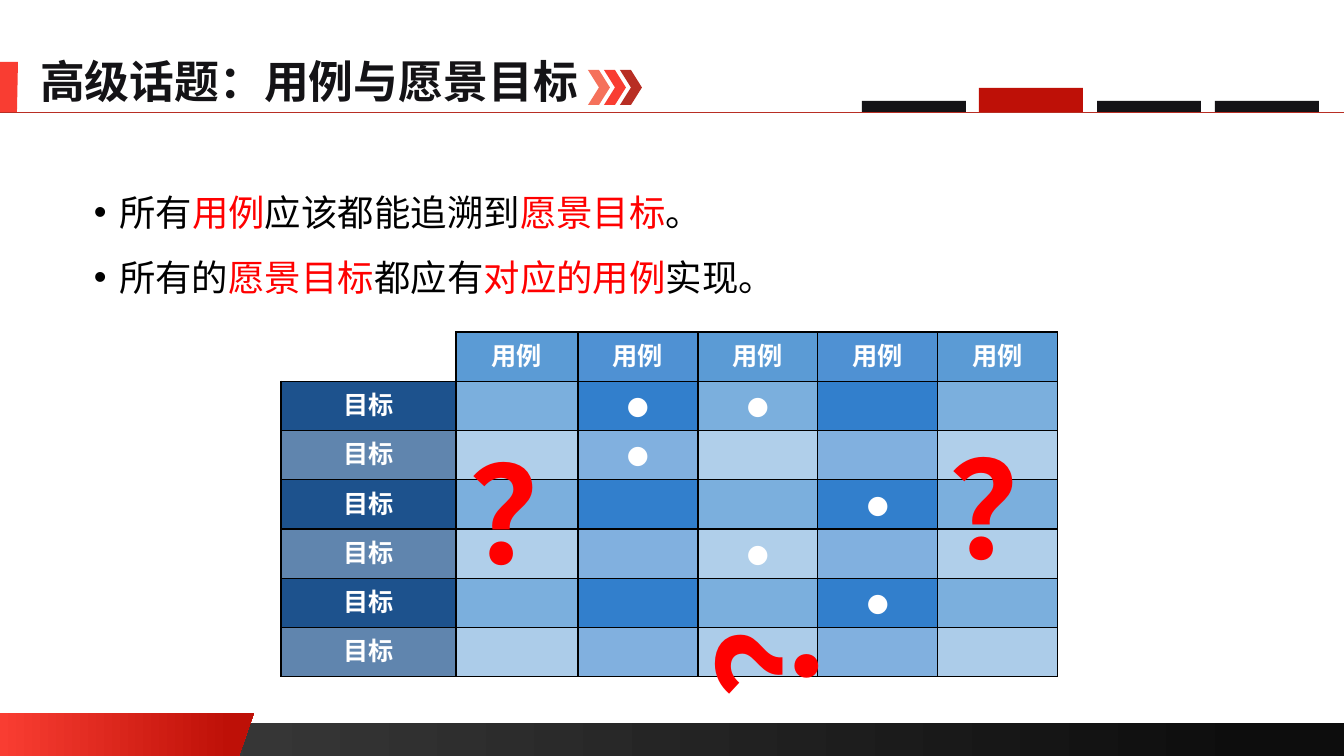
from lxml import etree
from pptx import Presentation
from pptx import util as u
from pptx.dml.color import RGBColor
from pptx.enum import shapes, text
from pptx.oxml import ns

WIDTH, HEIGHT = 1344, 756
SCALE = 12192000 / WIDTH
COLOURS = {
    "ink": "141316", "black": "000000", "white": "FFFFFF", "mark": "FF0000",
    "red": "F93D32", "deep": "BE1007", "brick": "B82E24", "coral": "F5715B",
    "charcoal": "404040", "night": "0D0D0D",
    "sky": "5B9BD5", "blue": "0563C1", "navy": "1D528D",
}
CJK = "Noto Sans CJK SC"
PLAIN_TABLE = "{2D5ABB26-0587-4C30-8999-92F81FD0307C}"
USE_CASES, GOALS = 5, 6
TRACES = {(1, 2), (1, 3), (2, 2), (3, 4), (4, 3), (5, 4)}


def px(length):
    return u.Emu(round(length * SCALE))


def rgb(name):
    return RGBColor.from_string(COLOURS[name])


def add_xml(parent, tag, **attributes):
    return etree.SubElement(parent, ns.qn(tag), **attributes)


def paint(fill, name, alpha=100):
    """Fill with one colour, alpha being the opacity in percent."""
    fill.solid()
    fill.fore_color.rgb = rgb(name)
    if alpha < 100:
        colour = fill._xPr.find(".//" + ns.qn("a:srgbClr"))
        add_xml(colour, "a:alpha", val=str(alpha * 1000))


def blend(fill, start, end, end_position):
    """Fill with a gradient running from left to right."""
    fill.gradient()
    fill.gradient_angle = 0
    for stop, name, position in zip(fill.gradient_stops, (start, end), (0, end_position)):
        stop.color.rgb = rgb(name)
        stop.position = position


def add_block(page, kind, box, colour=None):
    block = page.shapes.add_shape(kind, *map(px, box))
    block.shadow.inherit = False
    block.line.fill.background()
    if colour:
        paint(block.fill, colour)
    return block


def add_outline(page, points):
    builder = page.shapes.build_freeform(*points[0], scale=SCALE)
    builder.add_line_segments(points[1:], close=True)
    outline = builder.convert_to_shape()
    outline.shadow.inherit = False
    outline.line.fill.background()
    return outline


def add_span(para, words, size, colour, font, bold=False):
    span = para.add_run()
    span.text = words
    span.font.size = u.Pt(size)
    span.font.bold = bold
    span.font.color.rgb = rgb(colour)
    span.font.name = font
    add_xml(span.font._element, "a:ea", typeface=font)


def place(box, left, top, width, height):
    box.left, box.top, box.width, box.height = map(px, (left, top, width, height))


def add_footer(page, top):
    band = add_block(page, shapes.MSO_SHAPE.RECTANGLE, (0, top, WIDTH, HEIGHT - top))
    blend(band.fill, "charcoal", "night", 0.94)
    flag = add_outline(page, [(0, top - 10), (254, top - 10), (239, HEIGHT), (0, HEIGHT)])
    blend(flag.fill, "red", "deep", 0.91)


def add_header(page, base):
    """Title, rule, tabs and chevrons standing on the line at base."""
    accent = add_outline(page, [(0, base - 50), (18, base - 50), (17, base), (0, base)])
    paint(accent.fill, "red")

    title = page.shapes.title
    place(title, 30, base - 63, 563, 65)
    frame = title.text_frame
    frame.word_wrap = False
    frame.auto_size = text.MSO_AUTO_SIZE.NONE
    frame.vertical_anchor = text.MSO_ANCHOR.TOP
    para = frame.paragraphs[0]
    para.alignment = text.PP_ALIGN.LEFT
    add_span(para, "高级话题：用例与愿景目标", 32, "ink", CJK, bold=True)

    rule = page.shapes.add_connector(
        shapes.MSO_CONNECTOR.STRAIGHT, 0, px(base), px(WIDTH), px(base))
    rule.line.color.rgb = rgb("brick")
    rule.line.width = u.Pt(0.5)
    add_xml(rule._element.spPr, "a:effectLst")

    for index in range(4):
        colour, height = ("deep", 24) if index == 1 else ("ink", 11)
        left = 862 + index * 353 // 3
        add_block(page, shapes.MSO_SHAPE.RECTANGLE, (left, base - height, 104, height), colour)
    for index, colour in enumerate(("coral", "red", "brick")):
        add_block(page, shapes.MSO_SHAPE.CHEVRON, (588 + index * 16, base - 42, 22, 35), colour)


def add_bullets(page, box):
    frame = page.shapes.add_textbox(*map(px, box)).text_frame
    frame.word_wrap = True
    lines = (
        ("所有", "用例", "应该都能追溯到", "愿景目标", "。"),
        ("所有的", "愿景目标", "都应有", "对应的用例", "实现。"),
    )
    for index, line in enumerate(lines):
        para = frame.add_paragraph() if index else frame.paragraphs[0]
        para.line_spacing = 1.5
        properties = para._p.get_or_add_pPr()
        properties.set("marL", str(u.Inches(0.25)))
        properties.set("indent", str(-u.Inches(0.25)))
        add_xml(properties, "a:buFont", typeface="Arial")
        add_xml(properties, "a:buChar", char="•")
        for part, words in enumerate(line):
            add_span(para, words, 26, "mark" if part % 2 else "black", CJK)


def cell_look(row, column):
    """Words, fill colour and opacity of a cell."""
    tint = "sky" if column % 2 else "blue"
    if row == 0:
        return "用例", tint, 100 if column % 2 else 70
    if column == 0:
        return "目标", "navy", 100 if row % 2 else 70
    words = "●" if (row, column) in TRACES else ""
    if row % 2:
        return words, tint, 80 if column % 2 else 82
    return words, tint, 48 if column % 2 and row < GOALS else 50


def add_borders(cell, sides):
    properties = cell._tc.get_or_add_tcPr()
    for index, side in enumerate(sides):
        edge = etree.Element(ns.qn("a:ln" + side), w=str(u.Pt(1)))
        add_xml(add_xml(edge, "a:solidFill"), "a:srgbClr", val=COLOURS["black"])
        properties.insert(index, edge)


def add_matrix(page, box):
    frame = page.shapes.add_table(GOALS + 1, USE_CASES + 1, *map(px, box))
    matrix = frame.table
    matrix.first_row = matrix.horz_banding = False
    matrix._tbl.tblPr.find(ns.qn("a:tableStyleId")).text = PLAIN_TABLE
    for column, width in zip(matrix.columns, [175, 122] + [120] * 4):
        column.width = px(width)
    for row_index, row in enumerate(matrix.rows):
        row.height = px(box[3] / (GOALS + 1))
        for column_index, cell in enumerate(row.cells):
            if row_index == column_index == 0:
                cell.fill.background()
                add_borders(cell, "RB")
                continue
            words, colour, alpha = cell_look(row_index, column_index)
            paint(cell.fill, colour, alpha)
            add_borders(cell, "LRTB")
            cell.vertical_anchor = text.MSO_ANCHOR.MIDDLE
            if words:
                para = cell.text_frame.paragraphs[0]
                para.alignment = text.PP_ALIGN.CENTER
                add_span(para, words, 18, "white", "DejaVu Sans", bold=words != "●")


def add_question(page, left, top, rotation=0):
    box = page.shapes.add_textbox(*map(px, (left, top, 156, 173)))
    box.rotation = rotation
    box.text_frame.word_wrap = False
    add_span(box.text_frame.paragraphs[0], "？", 96, "mark", "Calibri", bold=True)


def main():
    deck = Presentation()
    deck.slide_width, deck.slide_height = px(WIDTH), px(HEIGHT)
    page = deck.slides.add_slide(deck.slide_layouts[5])
    add_footer(page, 723)
    add_header(page, 112)
    add_bullets(page, (84, 163, 907, 150))
    add_matrix(page, (281, 332, 777, 345))
    add_question(page, 460, 425)
    add_question(page, 940, 420)
    add_question(page, 687, 544, rotation=270)
    deck.save("out.pptx")


if __name__ == "__main__":
    main()
